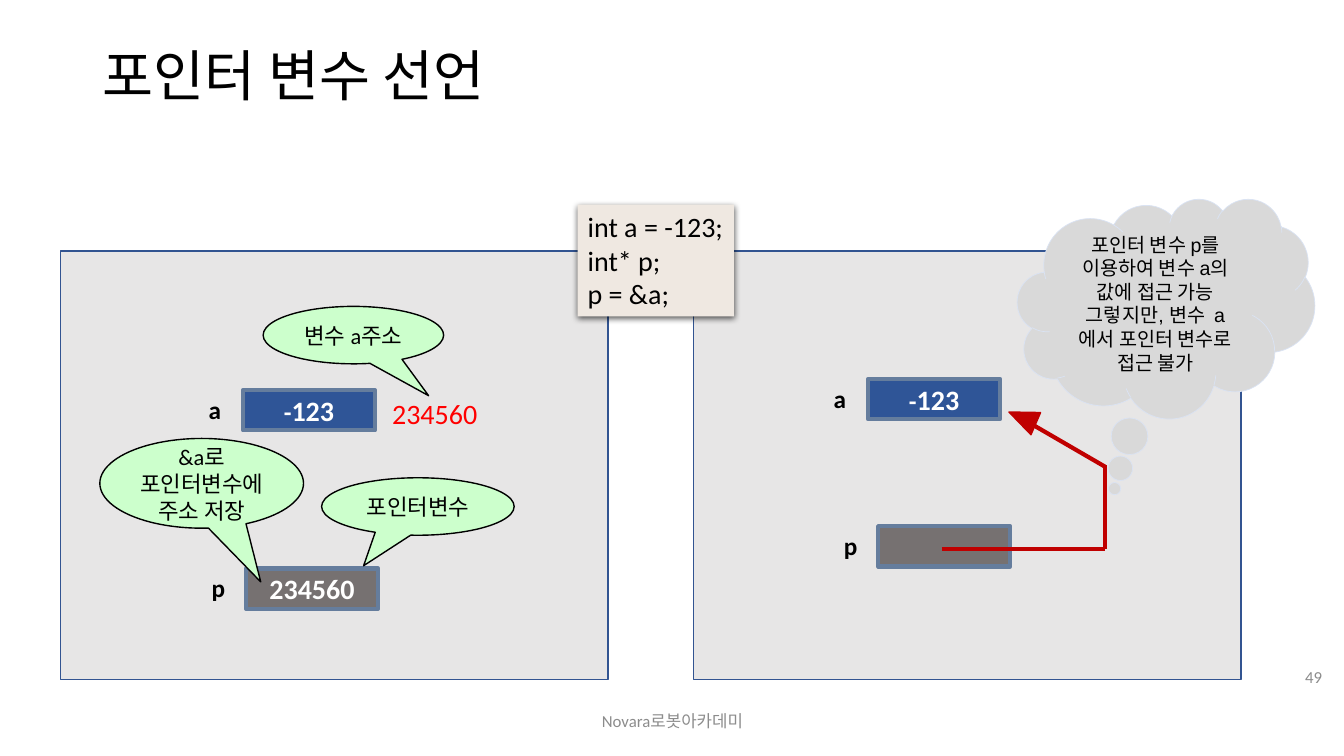
from dataclasses import dataclass

import pptx
import pptx.dml.color
import pptx.enum.shapes
import pptx.enum.text
import pptx.oxml
import pptx.oxml.ns
import pptx.util

SHAPE = pptx.enum.shapes.MSO_SHAPE
ALIGN = pptx.enum.text.PP_ALIGN
ANCHOR = pptx.enum.text.MSO_ANCHOR
EMU_PER_PX = 9144  # 100 px to the inch


@dataclass(frozen=True)
class Theme:
    latin: str = "Calibri"
    cloud_font: str = "Arial"
    black: str = "000000"
    white: str = "FFFFFF"
    muted: str = "8C8C8C"
    address: str = "FF0000"
    panel: str = "E7E6E6"
    panel_line: str = "325491"
    code: str = "EFE8E1"
    cloud: str = "D9D9D9"
    cloud_line: str = "DAE3F3"
    balloon: str = "CCFFCC"
    variable: str = "2F5597"
    pointer: str = "767171"
    cell_line: str = "657D9D"
    arrow: str = "C00000"
    title_size: float = 39.6
    value_size: float = 20
    label_size: float = 18
    balloon_size: float = 16
    cloud_size: float = 14
    footer_size: float = 12


THEME = Theme()


@dataclass(frozen=True)
class Area:
    left: int
    top: int
    width: int
    height: int


@dataclass(frozen=True)
class Style:
    size: float
    color: str = THEME.black
    bold: bool = False
    align: ALIGN = ALIGN.LEFT
    anchor: ANCHOR = ANCHOR.TOP
    font: str = THEME.latin
    wrap: bool = True


@dataclass(frozen=True)
class Cell:
    """A memory cell: its variable name stands to the left of the box."""
    name: str
    value: tuple[tuple[str, float], ...]
    left: int
    top: int
    fill: str


@dataclass(frozen=True)
class Balloon:
    text: str
    area: Area
    tail: tuple[float, float]


PANELS = [Area(left, 249, 543, 425) for left in (688, 60)]
NUMBER = (("-", THEME.label_size), ("123", THEME.value_size))
ADDRESS = (("234560", THEME.value_size),)
CELLS = [
    Cell("a", NUMBER, 241, 387, THEME.variable),
    Cell("p", ADDRESS, 244, 564, THEME.pointer),
    Cell("a", NUMBER, 861, 376, THEME.variable),
    Cell("p", (), 871, 522, THEME.pointer),
]
BALLOONS = [
    Balloon("변수 a주소", Area(261, 304, 179, 57), (0.417, 1.054)),
    Balloon("&a로 포인터변수에 주소 저장", Area(99, 435, 202, 89), (0.29, 1.098)),
    Balloon("포인터변수", Area(319, 474, 191, 57), (-0.282, 1.031)),
]
CLOUD_TEXT = "포인터 변수 p를 이용하여 변수 a의 값에 접근 가능 그렇지만, 변수  a에서 포인터 변수로 접근 불가"
ARROW_LINES = [
    ((934, 545), (1096, 545)),
    ((1096, 545), (1096, 461)),
    ((1096, 463), (1015, 416)),
]


def px(length: int) -> pptx.util.Emu:
    return pptx.util.Emu(length * EMU_PER_PX)


def rgb(color: str) -> pptx.dml.color.RGBColor:
    return pptx.dml.color.RGBColor.from_string(color)


def place(area: Area) -> tuple[pptx.util.Emu, ...]:
    return px(area.left), px(area.top), px(area.width), px(area.height)


def write(shape, spans, style: Style) -> None:
    """Fill the shape with one paragraph of (text, size) spans."""
    frame = shape.text_frame
    frame.word_wrap = style.wrap
    frame.vertical_anchor = style.anchor
    para = frame.paragraphs[0]
    for text, size in spans:
        span = para.add_run()
        span.text = text
        format_span(span, style, size)
    para.alignment = style.align


def format_span(span, style: Style, size: float) -> None:
    span.font.name = style.font
    span.font.size = pptx.util.Pt(size)
    span.font.bold = style.bold
    span.font.color.rgb = rgb(style.color)


def add_text(page, text: str, area: Area, style: Style):
    box = page.shapes.add_textbox(*place(area))
    write(box, [(text, style.size)], style)
    return box


def add_shape(page, kind: SHAPE, area: Area, fill: str, line: str | None = None, weight: float = 1):
    shape = page.shapes.add_shape(kind, *place(area))
    shape.shadow.inherit = False
    shape.fill.solid()
    shape.fill.fore_color.rgb = rgb(fill)
    if line is None:
        shape.line.fill.background()
    else:
        shape.line.color.rgb = rgb(line)
        shape.line.width = pptx.util.Pt(weight)
    return shape


def add_code(page) -> None:
    box = add_shape(page, SHAPE.RECTANGLE, Area(573, 203, 155, 111), THEME.code)
    style = Style(THEME.value_size, wrap=False)
    box.text_frame.text = "int a = -123;\nint* p;\np = &a;"
    box.text_frame.word_wrap = style.wrap
    box.text_frame.vertical_anchor = style.anchor
    for para in box.text_frame.paragraphs:
        para.alignment = style.align
        format_span(para.runs[0], style, style.size)
    effects = box.fill._xPr.find(pptx.oxml.ns.qn("a:effectLst"))
    effects.append(pptx.oxml.parse_xml(
        f'<a:outerShdw {pptx.oxml.ns.nsdecls("a")} blurRad="57150" dist="19050" dir="5400000" '
        f'algn="ctr" rotWithShape="0"><a:srgbClr val="{THEME.black}"><a:alpha val="63000"/>'
        '</a:srgbClr></a:outerShdw>'))


def add_cell(page, cell: Cell) -> None:
    box = add_shape(page, SHAPE.RECTANGLE, Area(cell.left, cell.top, 131, 40), cell.fill, THEME.cell_line, 3)
    write(box, cell.value, Style(THEME.value_size, THEME.white, True, ALIGN.CENTER, ANCHOR.MIDDLE))
    add_text(page, cell.name, Area(cell.left - 44, cell.top - 1, 81, 40), Style(THEME.label_size, bold=True))


def add_callout(page, kind: SHAPE, balloon: Balloon, fill: str, line: str, weight: float, style: Style) -> None:
    shape = add_shape(page, kind, balloon.area, fill, line, weight)
    shape.adjustments[0], shape.adjustments[1] = balloon.tail
    write(shape, [(balloon.text, style.size)], style)


def add_line(page, start: tuple[int, int], end: tuple[int, int]) -> None:
    line = page.shapes.add_connector(pptx.enum.shapes.MSO_CONNECTOR.STRAIGHT, *map(px, start + end))
    line.line.color.rgb = rgb(THEME.arrow)
    line.line.width = pptx.util.Pt(3)
    line._element.spPr.append(pptx.oxml.parse_xml(f'<a:effectLst {pptx.oxml.ns.nsdecls("a")}/>'))


def main() -> None:
    deck = pptx.Presentation()
    deck.slide_width, deck.slide_height = px(1333), px(750)
    page = deck.slides.add_slide(deck.slide_layouts[6])

    title = add_text(page, "포인터 변수 선언", Area(92, 40, 1150, 75),
                     Style(THEME.title_size, anchor=ANCHOR.MIDDLE))
    title.text_frame.paragraphs[0].line_spacing = 0.9
    add_text(page, "Novara로봇아카데미", Area(442, 695, 450, 40),
             Style(THEME.footer_size, THEME.muted, align=ALIGN.CENTER, anchor=ANCHOR.MIDDLE))
    add_text(page, "49", Area(1259, 651, 62, 40),
             Style(THEME.footer_size, THEME.muted, align=ALIGN.RIGHT, anchor=ANCHOR.MIDDLE))

    for panel in PANELS:
        add_shape(page, SHAPE.RECTANGLE, panel, THEME.panel, THEME.panel_line)
    add_code(page)
    cloud = Balloon(CLOUD_TEXT, Area(1009, 197, 295, 218), (-0.173, 0.82))
    add_callout(page, SHAPE.CLOUD_CALLOUT, cloud, THEME.cloud, THEME.cloud_line, 0.5,
                Style(THEME.cloud_size, align=ALIGN.CENTER, anchor=ANCHOR.MIDDLE, font=THEME.cloud_font))
    add_text(page, "234560", Area(379, 388, 131, 44), Style(THEME.value_size, THEME.address))
    for cell in CELLS:
        add_cell(page, cell)
    for balloon in BALLOONS:
        add_callout(page, SHAPE.OVAL_CALLOUT, balloon, THEME.balloon, THEME.black, 1,
                    Style(THEME.balloon_size, align=ALIGN.CENTER, anchor=ANCHOR.MIDDLE))

    for start, end in ARROW_LINES:
        add_line(page, start, end)
    tip = add_shape(page, SHAPE.ISOSCELES_TRIANGLE, Area(1002, 400, 24, 29), THEME.arrow, THEME.arrow)
    tip.rotation = 293.4
    deck.save("out.pptx")


if __name__ == "__main__":
    main()
